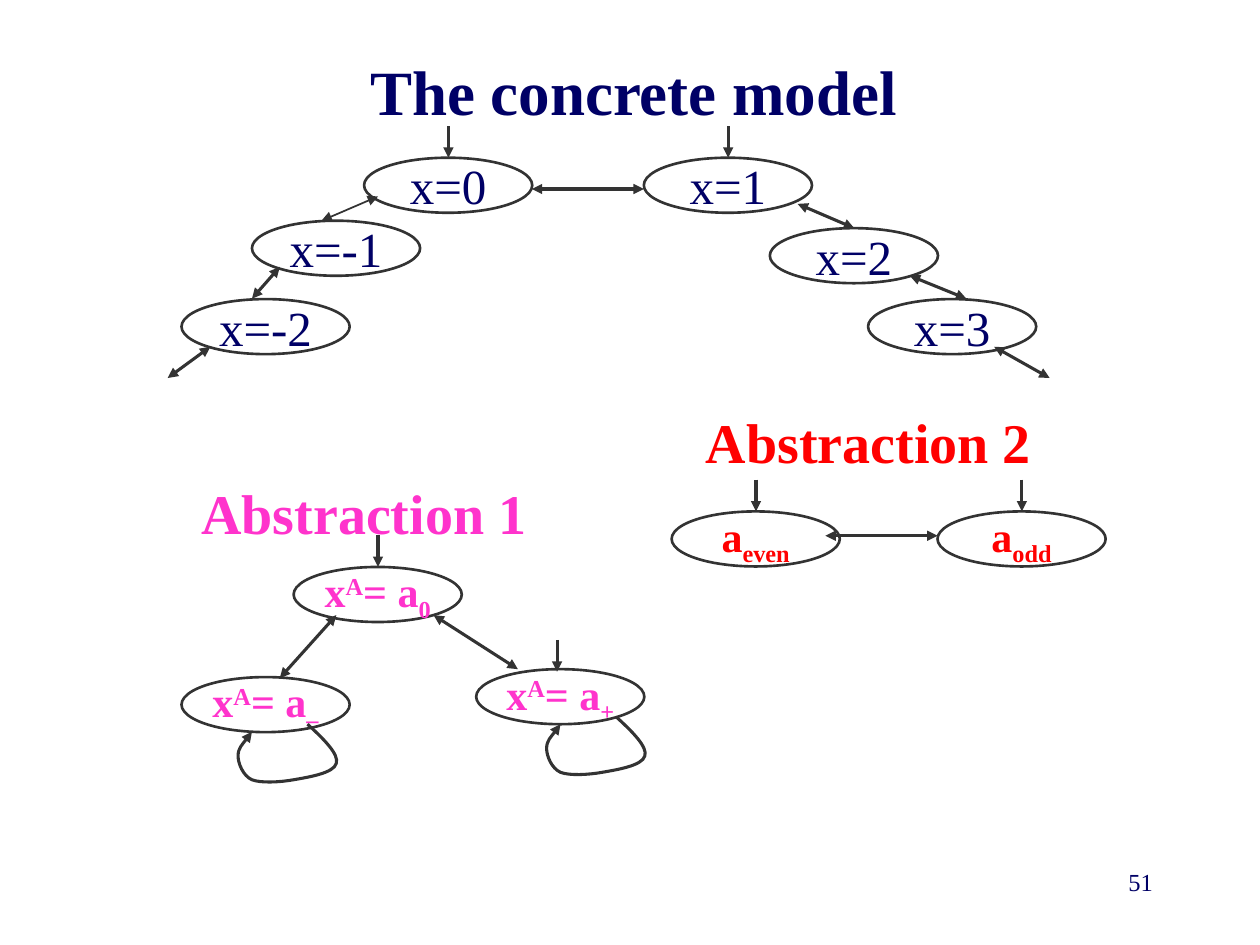
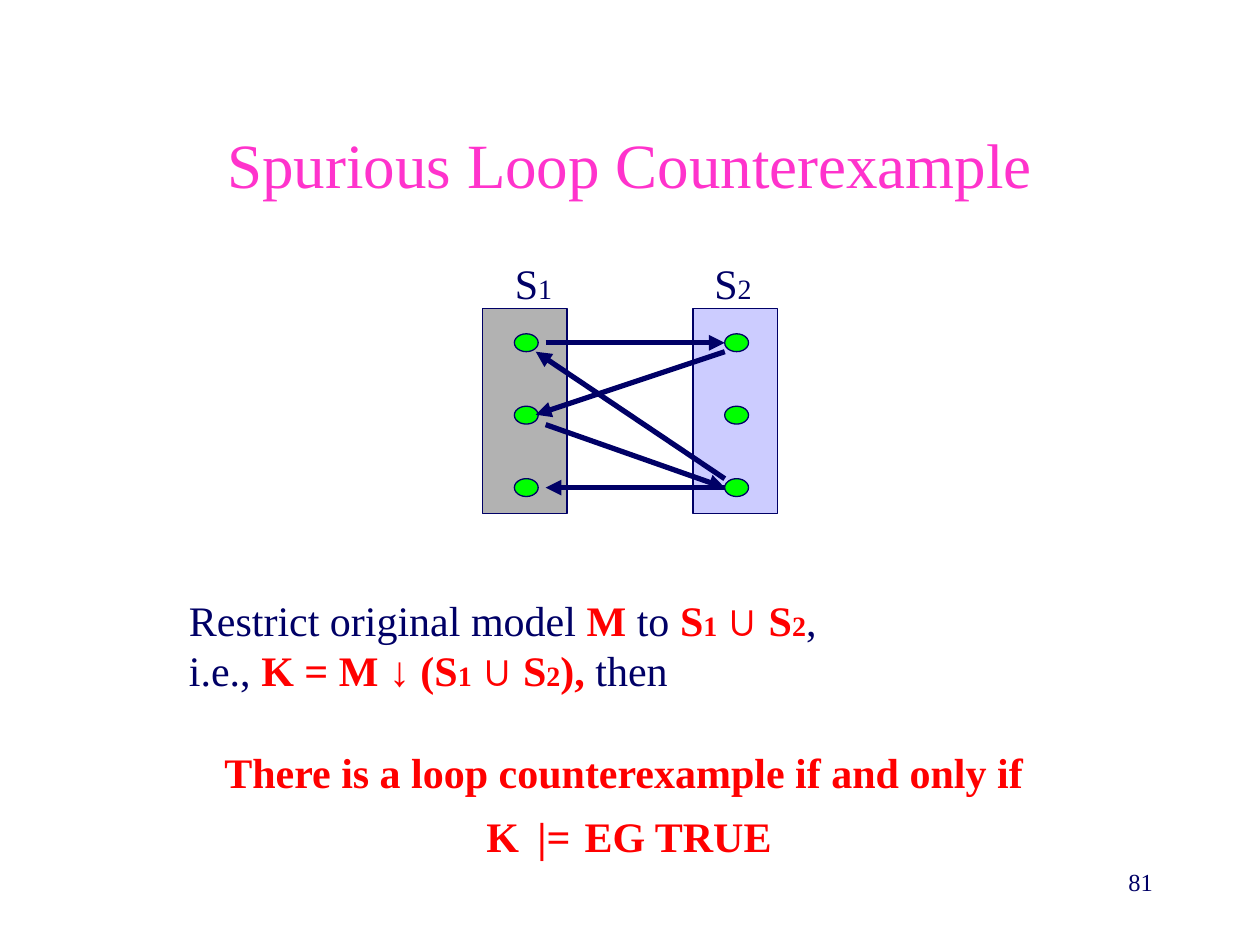
from pptx import Presentation
from pptx import util as u
from pptx.dml import color
from pptx.enum import shapes, text
from pptx.oxml import ns, xmlchemy

NAVY, RED, PINK, GREY = "000066", "FF0000", "FF33CC", "333333"
CENTER = text.PP_ALIGN.CENTER
BODY = {"name": "Times New Roman", "size": u.Pt(24), "bold": False, "color": NAVY}
TITLE = {**BODY, "size": u.Pt(36)}
NUMBER = {**BODY, "size": u.Pt(14)}
MIDDLE = {"vertical_anchor": text.MSO_ANCHOR.MIDDLE, "word_wrap": True}
UNWRAPPED = {**MIDDLE, "word_wrap": False}
TOP = {"vertical_anchor": text.MSO_ANCHOR.TOP, "word_wrap": True}


def write(shape, paragraphs, font, frame_format, alignment):
    """Fill a shape with paragraphs, each a list of (text, changes to font)."""
    frame = shape.text_frame
    for name, value in frame_format.items():
        setattr(frame, name, value)
    for index, runs in enumerate(paragraphs):
        paragraph = frame.add_paragraph() if index else frame.paragraphs[0]
        paragraph.alignment = alignment
        for content, changes in runs:
            run = paragraph.add_run()
            run.text = content
            for name, value in {**font, **changes}.items():
                if name == "color":
                    run.font.color.rgb = color.RGBColor.from_string(value)
                elif name == "baseline":
                    run.font._element.set("baseline", str(value * 1000))
                else:
                    setattr(run.font, name, value)


def style_arrow(shape, hex_color, width, ends):
    """Colour a line, add triangle ends and drop the shadow."""
    shape.line.color.rgb = color.RGBColor.from_string(hex_color)
    shape.line.width = u.Pt(width)
    properties = shape.element.spPr
    outline = properties.find(ns.qn("a:ln"))
    for end in ends:
        tip = xmlchemy.OxmlElement(f"a:{end}End")
        tip.set("type", "triangle")
        outline.append(tip)
    properties.append(xmlchemy.OxmlElement("a:effectLst"))


presentation = Presentation()
presentation.slide_width = u.Cm(25.4)
presentation.slide_height = u.Cm(19.05)

# Titles and slide numbers
slides = []
for title, box, changes, number in [
    ("The concrete model", (2.54, 1.42, 20.47, 0.79), {"bold": True}, "51"),
    ("Spurious Loop Counterexample", (1.9, 1.7, 21.59, 3.18), {"color": PINK}, "81"),
]:
    slide = presentation.slides.add_slide(presentation.slide_layouts[6])
    slides.append(slide)
    title_box = slide.shapes.add_textbox(*map(u.Cm, box))
    write(title_box, [[(title, changes)]], TITLE, MIDDLE, CENTER)
    number_box = slide.shapes.add_textbox(*map(u.Cm, (18.21, 17.35, 5.28, 1.27)))
    write(number_box, [[(number, {})]], NUMBER, TOP, text.PP_ALIGN.RIGHT)
models, loop = slides

# Headings of the two abstractions
for heading, box, hex_color in [
    ("Abstraction 1", (1.98, 9.53, 10.72, 1.63), PINK),
    ("Abstraction 2", (11.58, 8.1, 11.86, 1.63), RED),
]:
    heading_box = models.shapes.add_textbox(*map(u.Cm, box))
    font = {**BODY, "size": u.Pt(32), "bold": True, "color": hex_color}
    write(heading_box, [[(heading, {})]], font, TOP, CENTER)

# States of the concrete model and of both abstractions
STATE_WIDTH, STATE_HEIGHT, ENTRY_LENGTH = 3.39, 1.11, 0.64
SUB, SUPER = {"baseline": -25}, {"baseline": 30}
concrete = {**BODY, "size": u.Pt(28)}
sign = {**BODY, "bold": True, "color": PINK}
parity = {**BODY, "bold": True, "color": RED}
sign_start = [("x", {}), ("A", SUPER), ("= a", {})]
states = [
    (7.34, 3.18, [("x=0", {})], concrete),
    (12.98, 3.18, [("x=1", {})], concrete),
    (5.08, 4.45, [("x=-1", {})], concrete),
    (3.66, 6.03, [("x=-2", {})], concrete),
    (15.52, 4.6, [("x=2", {})], concrete),
    (17.5, 6.03, [("x=3", {})], concrete),
    (13.54, 10.31, [("a", {}), ("even", SUB)], parity),
    (18.9, 10.31, [("a", {}), ("odd", SUB)], parity),
    (5.92, 11.43, sign_start + [("0", SUB)], sign),
    (9.6, 13.49, sign_start + [("+", SUB)], sign),
    (3.66, 13.65, sign_start + [("–", SUB)], sign),
]
for left, top, label, font in states:
    state = models.shapes.add_shape(
        shapes.MSO_SHAPE.OVAL, u.Cm(left), u.Cm(top), u.Cm(STATE_WIDTH), u.Cm(STATE_HEIGHT))
    state.shadow.inherit = False
    state.fill.solid()
    state.fill.fore_color.rgb = color.RGBColor.from_string("FFFFFF")
    state.line.color.rgb = color.RGBColor.from_string(GREY)
    state.line.width = u.Pt(1.5)
    write(state, [label], font, UNWRAPPED, CENTER)

# Arrows into the initial states
for tip_x, tip_y in [(9.04, 3.18), (14.68, 3.18), (15.24, 10.31),
                     (20.6, 10.31), (7.62, 11.43), (11.23, 13.54)]:
    entry = models.shapes.add_connector(
        shapes.MSO_CONNECTOR.STRAIGHT,
        u.Cm(tip_x), u.Cm(tip_y - ENTRY_LENGTH), u.Cm(tip_x), u.Cm(tip_y))
    style_arrow(entry, GREY, 1.75, ["tail"])

# Two-way transitions
for *points, width in [
    (10.72, 3.81, 12.98, 3.81, 1.75),
    (7.62, 3.96, 6.48, 4.45, 1),
    (5.64, 5.38, 5.08, 6.02, 1.75),
    (4.24, 6.99, 3.38, 7.62, 1.75),
    (16.08, 4.11, 17.22, 4.6, 1.75),
    (18.34, 5.56, 19.48, 6.02, 1.75),
    (20.04, 6.99, 21.16, 7.62, 1.75),
    (16.64, 10.8, 18.9, 10.8, 1.75),
    (6.78, 12.4, 5.64, 13.67, 1.75),
    (8.74, 12.4, 10.44, 13.49, 1.75),
]:
    transition = models.shapes.add_connector(
        shapes.MSO_CONNECTOR.STRAIGHT, *map(u.Cm, points))
    style_arrow(transition, GREY, width, ["head", "tail"])

# Self-loops: every three points after the start make one Bézier curve
LOOP_POINTS = [
    (0.33, 0.3), (0.64, 0.61), (0.58, 0.79),
    (0.53, 0.99), (0, 1.07), (-0.28, 1.12),
    (-0.56, 1.17), (-0.94, 1.19), (-1.12, 1.12),
    (-1.3, 1.04), (-1.4, 0.79), (-1.4, 0.64),
    (-1.4, 0.48), (-1.17, 0.23), (-1.12, 0.15),
]
for start_x, start_y in [(6.2, 14.6), (12.42, 14.45)]:
    builder = models.shapes.build_freeform(u.Cm(start_x), u.Cm(start_y))
    builder.add_line_segments(
        [(u.Cm(start_x + x), u.Cm(start_y + y)) for x, y in LOOP_POINTS], close=False)
    self_loop = builder.convert_to_shape()
    self_loop.fill.background()
    outline = self_loop.element.find(".//" + ns.qn("a:path"))
    segments = outline.findall(ns.qn("a:lnTo"))
    for first in range(0, len(segments), 3):
        curve = xmlchemy.OxmlElement("a:cubicBezTo")
        for segment in segments[first:first + 3]:
            curve.append(segment[0])
            outline.remove(segment)
        outline.append(curve)
    style_arrow(self_loop, GREY, 1.75, ["tail"])

# State sets S1 and S2 with three states each
SET_TOP, DOT_STEP = 6.22, 1.46
for left, label_left, digit, set_color in [
    (13.97, 14.15, "2", "CCCCFF"),
    (9.73, 10.13, "1", "B2B2B2"),
]:
    parts = [(shapes.MSO_SHAPE.RECTANGLE, left, SET_TOP, 1.7, 4.14, set_color)]
    parts += [(shapes.MSO_SHAPE.OVAL, left + 0.64, SET_TOP + 0.51 + row * DOT_STEP,
               0.48, 0.36, "00FF00") for row in range(3)]
    for kind, *box, fill_color in parts:
        part = loop.shapes.add_shape(kind, *map(u.Cm, box))
        part.shadow.inherit = False
        part.fill.solid()
        part.fill.fore_color.rgb = color.RGBColor.from_string(fill_color)
        part.line.color.rgb = color.RGBColor.from_string(NAVY)
        part.line.width = u.Pt(0.75)
    label_box = loop.shapes.add_textbox(*map(u.Cm, (label_left, 5.06, 1.8, 1.27)))
    write(label_box, [[("S", {}), (digit, {"size": u.Pt(16)})]], BODY,
          TOP, text.PP_ALIGN.LEFT)

# Transitions between the sets
for points in [
    (11, 6.91, 14.61, 6.91),
    (14.61, 7.09, 10.8, 8.36),
    (11, 8.56, 14.61, 9.83),
    (14.61, 9.65, 10.8, 7.09),
    (14.61, 9.83, 11, 9.83),
]:
    transition = loop.shapes.add_connector(
        shapes.MSO_CONNECTOR.STRAIGHT, *map(u.Cm, points))
    style_arrow(transition, NAVY, 3, ["tail"])

# Statement about the restricted model
STRONG = {"color": RED, "bold": True}
SMALL = {**STRONG, "size": u.Pt(16)}
SYMBOL = {**STRONG, "name": "Arial"}
union = [("S", STRONG), ("1", SMALL), (" ", STRONG), ("∪", SYMBOL),
         (" S", STRONG), ("2", SMALL)]
statement = [
    [("Restrict original model ", {}), ("M", STRONG), (" to ", {}), *union, (",", {})],
    [("i.e., ", {}), ("K = M ", STRONG), ("↓", SYMBOL), (" (", STRONG), *union,
     ("),", STRONG), (" then", {})],
    [("There is a loop counterexample if and only if ", STRONG)],
    [("K ", STRONG), (" ", {**STRONG, "size": u.Pt(18)}), ("|=", STRONG),
     (" ", {**STRONG, "size": u.Pt(32)}), ("EG TRUE", STRONG)],
]
statement_box = loop.shapes.add_textbox(*map(u.Cm, (3.56, 11.86, 18.24, 5.69)))
write(statement_box, statement, BODY, TOP, text.PP_ALIGN.LEFT)
conclusion = statement_box.text_frame.paragraphs[2:]
for paragraph in conclusion:
    paragraph.alignment = CENTER
conclusion[0].space_before = u.Pt(29)

presentation.save("out.pptx")
